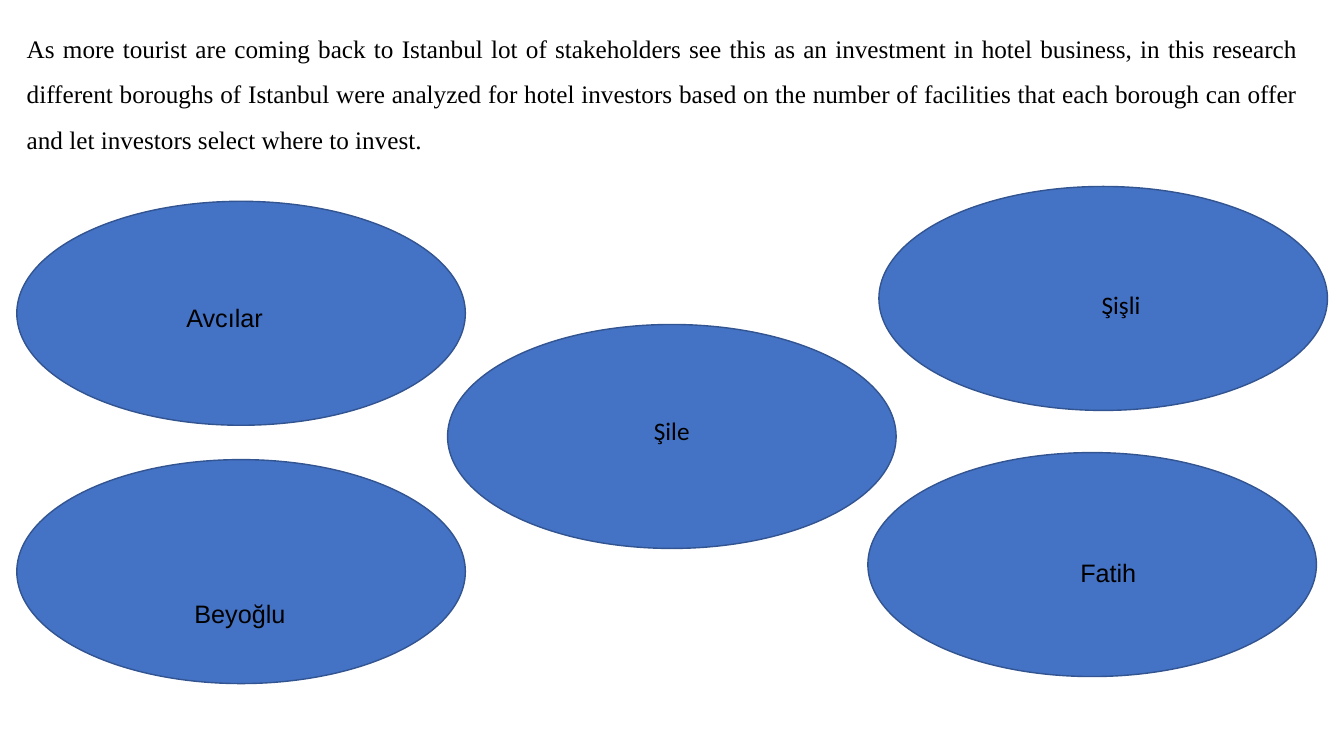
from pptx import Presentation
from pptx import util as u
from pptx.dml.color import RGBColor
from pptx.enum import shapes, text

COLORS = {"fill": "4472C4", "line": "325491", "text": "000000"}
INTRO = (
    "As more tourist are coming back to Istanbul lot of stakeholders see this as an "
    "investment in hotel business, in this research different boroughs of Istanbul were "
    "analyzed for hotel investors based on the number of facilities that each borough can "
    "offer and let investors select where to invest."
)
OVAL_W, OVAL_H = 320.4, 160
LABEL_H = 29

BOROUGHS = [
    ("Şişli", "Calibri", (627.8, 133.2), (779.8, 203), 43.2),
    ("Şile", "Calibri", (319.7, 231.8), (460, 293.4), 44.6),
    ("Fatih", "Arial", (619.9, 323.3), (764.6, 394.6), 54.7),
    ("Beyoğlu", "Arial", (12, 328.3), (131.8, 423.6), 80),
    ("Avcılar", "Arial", (12, 143.8), (126, 212.4), 69.8),
]

prs = Presentation()
prs.slide_width, prs.slide_height = u.Pt(960), u.Pt(540)
s = prs.slides.add_slide(prs.slide_layouts[6])


def add_text(content, font, left, top, width, height, wrap):
    tf = s.shapes.add_textbox(u.Pt(left), u.Pt(top), u.Pt(width), u.Pt(height)).text_frame
    tf.word_wrap = wrap
    p = tf.paragraphs[0]
    p.text = content
    p.font.name = font
    p.font.size = u.Pt(18)
    p.font.color.rgb = RGBColor.from_string(COLORS["text"])
    return p


p = add_text(INTRO, "Times New Roman", 12, 9.4, 922.3, 213.8, True)
p.alignment = text.PP_ALIGN.JUSTIFY
p.line_spacing = 1.5
p.space_after = u.Pt(8)

for name, font, (oval_x, oval_y), (label_x, label_y), label_w in BOROUGHS:
    sp = s.shapes.add_shape(
        shapes.MSO_SHAPE.OVAL, u.Pt(oval_x), u.Pt(oval_y), u.Pt(OVAL_W), u.Pt(OVAL_H)
    )
    sp.shadow.inherit = False
    sp.fill.solid()
    sp.fill.fore_color.rgb = RGBColor.from_string(COLORS["fill"])
    sp.line.color.rgb = RGBColor.from_string(COLORS["line"])
    sp.line.width = u.Pt(1)
    add_text(name, font, label_x, label_y, label_w, LABEL_H, False)

prs.save("out.pptx")
